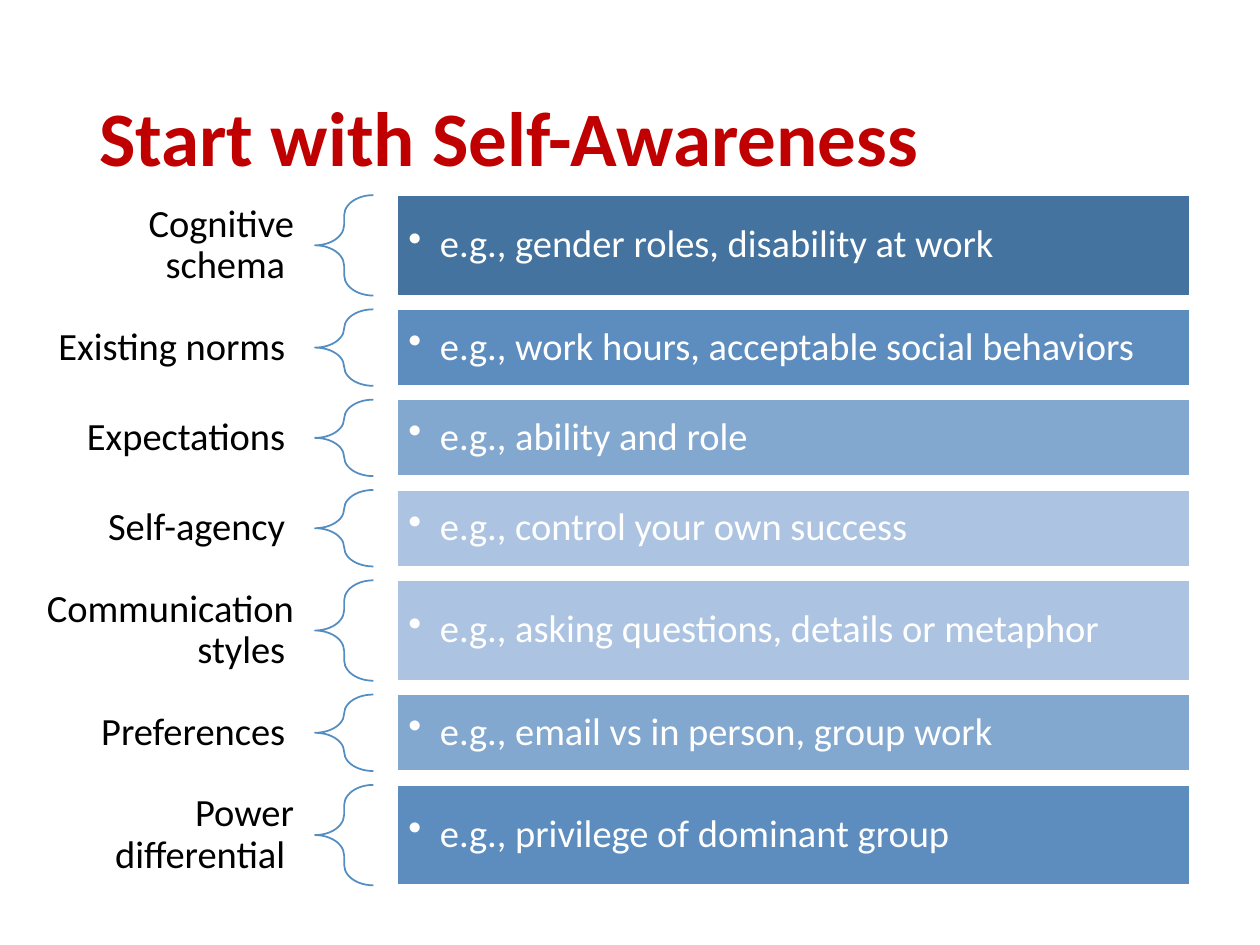
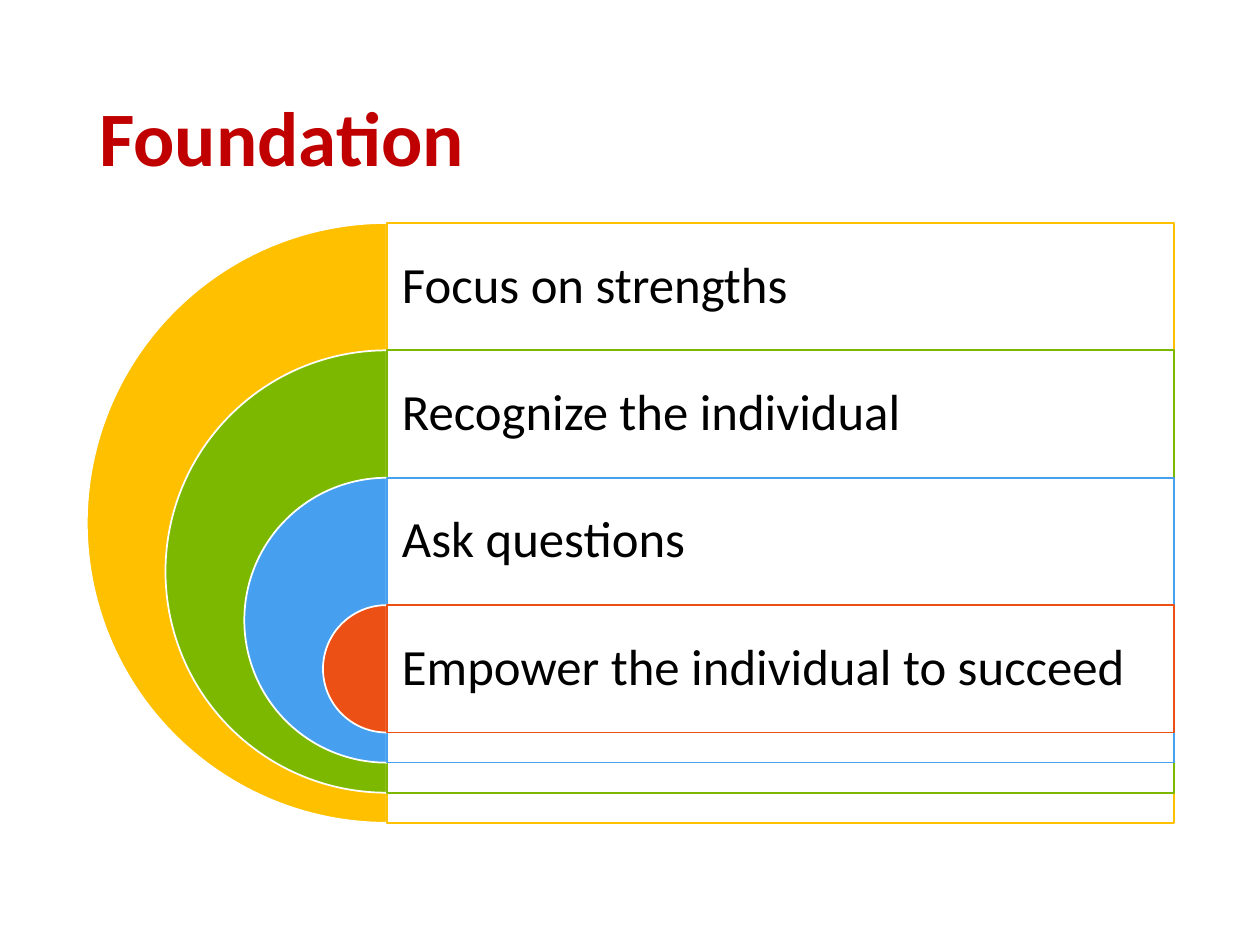
"""Builds the two slides on self-awareness and its foundation."""
from typing import NamedTuple

from lxml import etree
from pptx import Presentation
from pptx import util as u
from pptx.dml.color import RGBColor
from pptx.enum import shapes, text
from pptx.oxml.ns import qn

COLORS = {
    "title": "C00000", "ink": "000000", "paper": "FFFFFF", "brace": "538DC1",
    "navy": "43739E", "steel": "5D8DBE", "sky": "83A8D0", "mist": "ACC4E2",
    "gold": "FFC000", "green": "7DB801", "blue": "469FEF", "orange": "EC5015",
}
FONT = "Calibri"
LINE_SPACING = 0.9

ROWS_TOP, ROW_GAP = 111.5, 7.9
SHORT_ROW, TALL_ROW = 43.7, 57.4
LABEL_LEFT, LABEL_WIDTH = 13.5, 166.5
BRACE_LEFT, BRACE_WIDTH = 180, 33.3
BAR_LEFT, BAR_WIDTH = 226.8, 453.4

ARCS_TOP, ARC_CENTER = 127.4, 221
BAND_WIDTH, BAND_HEIGHT = 450, 72.8
DIAMETER_STEP = 90


class Box(NamedTuple):
    left: float
    top: float
    width: float
    height: float


class Theme(NamedTuple):
    label: str
    example: str
    color: str
    height: float


class Principle(NamedTuple):
    wording: str
    color: str


THEMES = [
    Theme("Cognitive schema ", "e.g., gender roles, disability at work", "navy", TALL_ROW),
    Theme("Existing norms ", "e.g., work hours, acceptable social behaviors", "steel", SHORT_ROW),
    Theme("Expectations ", "e.g., ability and role", "sky", SHORT_ROW),
    Theme("Self-agency ", "e.g., control your own success", "mist", SHORT_ROW),
    Theme("Communication styles ", "e.g., asking questions, details or metaphor", "mist", TALL_ROW),
    Theme("Preferences ", "e.g., email vs in person, group work", "sky", SHORT_ROW),
    Theme("Power differential ", "e.g., privilege of dominant group", "steel", TALL_ROW),
]

PRINCIPLES = [
    Principle("Focus on strengths", "gold"),
    Principle("Recognize the individual", "green"),
    Principle("Ask questions", "blue"),
    Principle("Empower the individual to succeed", "orange"),
]


def rgb(color: str) -> RGBColor:
    return RGBColor.from_string(COLORS[color])


def in_points(box: Box) -> list[u.Length]:
    return [u.Pt(length) for length in box]


def write(shape, wording: str, size: float, color: str, margins: tuple[float, float] = (7.2, 3.6),
          align=text.PP_ALIGN.LEFT, bold: bool = False, bullet: bool = False) -> None:
    frame = shape.text_frame
    frame.word_wrap = True
    frame.auto_size = text.MSO_AUTO_SIZE.NONE
    frame.vertical_anchor = text.MSO_ANCHOR.MIDDLE
    frame.margin_left = frame.margin_right = u.Pt(margins[0])
    frame.margin_top = frame.margin_bottom = u.Pt(margins[1])
    paragraph = frame.paragraphs[0]
    paragraph.alignment = align
    paragraph.line_spacing = LINE_SPACING
    if bullet:
        properties = paragraph._p.get_or_add_pPr()
        properties.set("marL", str(u.Pt(18)))
        properties.set("indent", str(-u.Pt(18)))
        etree.SubElement(properties, qn("a:buChar")).set("char", "•")
    run = paragraph.add_run()
    run.text = wording
    run.font.name = FONT
    run.font.size = u.Pt(size)
    run.font.bold = bold
    run.font.color.rgb = rgb(color)


def add_figure(slide, preset, box: Box, line: str, fill: str | None = None,
               adjustments: tuple[float, ...] = ()):
    figure = slide.shapes.add_shape(preset, *in_points(box))
    figure.shadow.inherit = False
    figure.line.color.rgb = rgb(line)
    figure.line.width = u.Pt(1)
    if fill:
        figure.fill.solid()
        figure.fill.fore_color.rgb = rgb(fill)
    else:
        figure.fill.background()
    for position, value in enumerate(adjustments):
        figure.adjustments[position] = value
    return figure


def add_titled_slide(deck, heading: str):
    slide = deck.slides.add_slide(deck.slide_layouts[5])
    title = slide.shapes.title
    title.left, title.top, title.width, title.height = in_points(Box(49.5, 28.75, 621, 104.4))
    write(title, heading, 44, "title", bold=True)
    return slide


def add_theme(slide, theme: Theme, top: float) -> None:
    label = slide.shapes.add_textbox(*in_points(Box(LABEL_LEFT, top, LABEL_WIDTH, theme.height)))
    write(label, theme.label, 22, "ink", (12, 4.4), text.PP_ALIGN.RIGHT)
    add_figure(slide, shapes.MSO_SHAPE.LEFT_BRACE, Box(BRACE_LEFT, top, BRACE_WIDTH, theme.height),
               "brace", adjustments=(0.35, 0.5))
    bar = add_figure(slide, shapes.MSO_SHAPE.RECTANGLE,
                     Box(BAR_LEFT, top, BAR_WIDTH, theme.height), "paper", theme.color)
    write(bar, theme.example, 22, "paper", (6.6, 6.6), bullet=True)


def add_principle(slide, principle: Principle, top: float, diameter: float) -> None:
    add_figure(slide, shapes.MSO_SHAPE.PIE,
               Box(ARC_CENTER - diameter / 2, top, diameter, diameter),
               "paper", principle.color, (54, 162))
    panel = add_figure(slide, shapes.MSO_SHAPE.RECTANGLE,
                       Box(ARC_CENTER, top, BAND_WIDTH, diameter), principle.color, "paper")
    tint = panel._element.spPr.find(qn("a:solidFill")).find(qn("a:srgbClr"))
    etree.SubElement(tint, qn("a:alpha")).set("val", "90000")
    band = slide.shapes.add_textbox(*in_points(Box(ARC_CENTER, top, BAND_WIDTH, BAND_HEIGHT)))
    write(band, principle.wording, 29, "ink", (8.7, 8.7))


def build_self_awareness(deck) -> None:
    slide = add_titled_slide(deck, "Start with Self-Awareness")
    top = ROWS_TOP
    for theme in THEMES:
        add_theme(slide, theme, top)
        top += theme.height + ROW_GAP


def build_foundation(deck) -> None:
    slide = add_titled_slide(deck, "Foundation")
    for level, principle in enumerate(PRINCIPLES):
        inner_levels = len(PRINCIPLES) - 1 - level
        add_principle(slide, principle, ARCS_TOP + level * BAND_HEIGHT,
                      BAND_HEIGHT + inner_levels * DIAMETER_STEP)


def main() -> None:
    deck = Presentation()
    deck.slide_width, deck.slide_height = u.Pt(720), u.Pt(540)
    build_self_awareness(deck)
    build_foundation(deck)
    deck.save("out.pptx")


if __name__ == "__main__":
    main()
